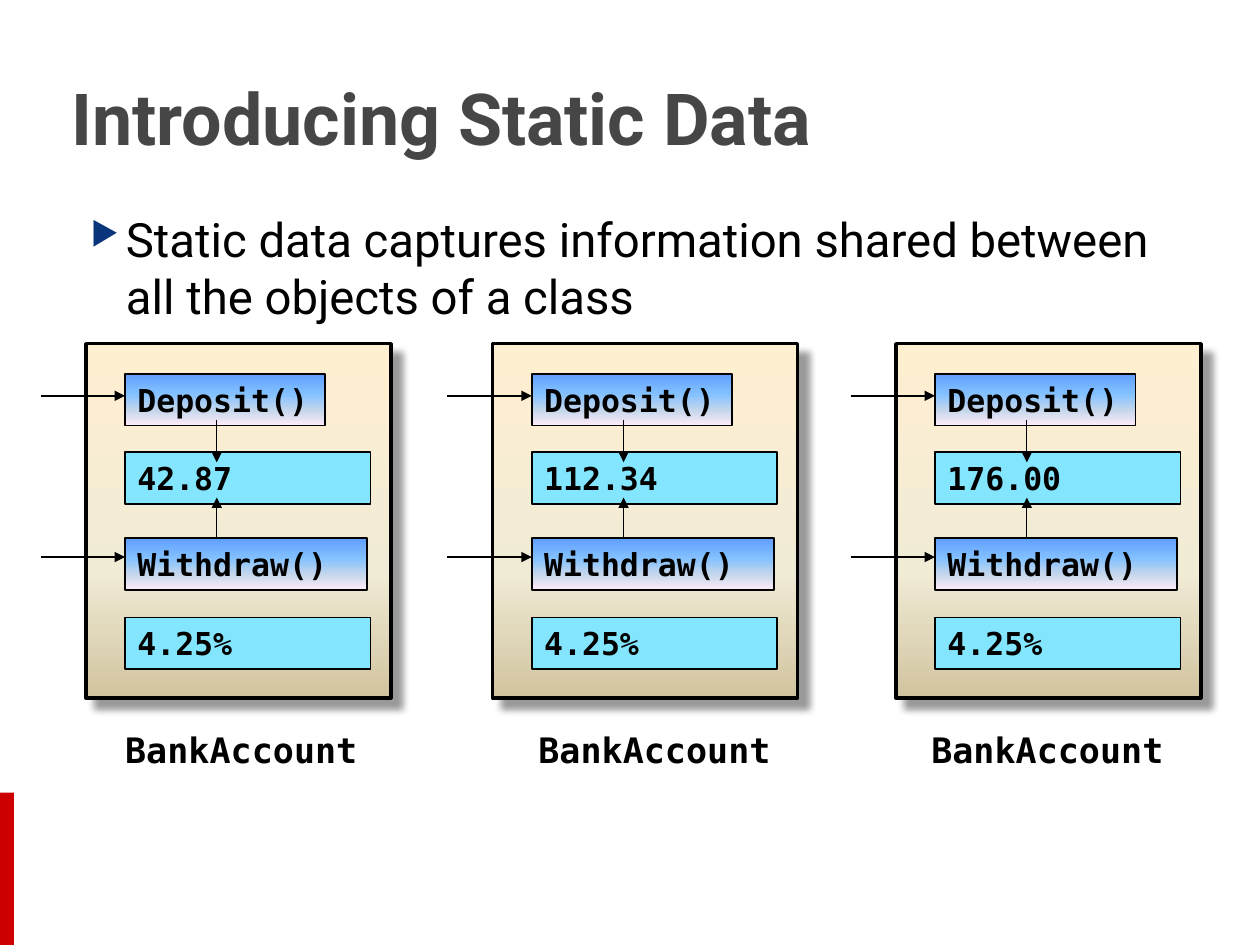
from lxml.etree import SubElement
from pptx import Presentation
from pptx.dml.color import RGBColor
from pptx.enum.shapes import MSO_CONNECTOR as Connector, MSO_SHAPE as Shape
from pptx.enum.text import MSO_ANCHOR as Anchor, PP_ALIGN as Align
from pptx.oxml.ns import qn
from pptx.util import Cm, Pt

BLACK = RGBColor(0x00, 0x00, 0x00)
GREY = RGBColor(0x46, 0x46, 0x46)
RED = RGBColor(0xCC, 0x00, 0x00)
NAVY = RGBColor(0x09, 0x36, 0x7A)
CYAN = RGBColor(0x84, 0xE6, 0xFE)

# Gradient stops: (percent, colour), from top to bottom
SAND = [(0, RGBColor(0xFF, 0xEF, 0xD1)), (65, RGBColor(0xF0, 0xEB, 0xD5)),
        (100, RGBColor(0xD1, 0xC3, 0x9F))]
SKY = [(0, RGBColor(0x5E, 0x9E, 0xFF)), (40, RGBColor(0x85, 0xC2, 0xFF)),
       (70, RGBColor(0xC4, 0xD6, 0xEB)), (100, RGBColor(0xFF, 0xEB, 0xFA))]

SANS = "Roboto"
MONO = "DejaVu Sans Mono"

# Panel left, label left, balance
ACCOUNTS = [(1.73, 1.4, "42.87"), (9.93, 9.73, "112.34"), (18.06, 17.65, "176.00")]


def fill_gradient(shape, stops):
    shape.fill.gradient()
    shape.fill.gradient_angle = 270
    stop_list = shape.fill._fill._gradFill.find(qn("a:gsLst"))
    for old_stop in list(stop_list):
        stop_list.remove(old_stop)
    for percent, color in stops:
        stop = SubElement(stop_list, qn("a:gs"), pos=str(percent * 1000))
        SubElement(stop, qn("a:srgbClr"), val=str(color))


def add_rect(page, left, top, width, height, fill, line_width=None):
    rect = page.shapes.add_shape(Shape.RECTANGLE, Cm(left), Cm(top), Cm(width), Cm(height))
    rect.shadow.inherit = False
    if isinstance(fill, list):
        fill_gradient(rect, fill)
    else:
        rect.fill.solid()
        rect.fill.fore_color.rgb = fill
    if line_width:
        rect.line.color.rgb = BLACK
        rect.line.width = Pt(line_width)
    else:
        rect.line.fill.background()
    return rect


def add_shadow(shape):
    effects = shape._element.spPr.find(qn("a:effectLst"))
    shadow = SubElement(effects, qn("a:outerShdw"), blurRad=str(Pt(4)), dist=str(Pt(8)),
                        dir="2700000", algn="tl", rotWithShape="0")
    color = SubElement(shadow, qn("a:srgbClr"), val=str(BLACK))
    SubElement(color, qn("a:alpha"), val="40000")


def set_font(para, name, size, color, bold):
    font = para.font
    font.name, font.size, font.bold = name, Pt(size), bold
    font.color.rgb = color


def add_text(page, left, top, width, height, text, name, size, color=BLACK, bold=True):
    box = page.shapes.add_textbox(Cm(left), Cm(top), Cm(width), Cm(height))
    box.text_frame.word_wrap = True
    para = box.text_frame.paragraphs[0]
    para.text = text
    set_font(para, name, size, color, bold)
    return box.text_frame


def add_bullet(para):
    props = para._p.get_or_add_pPr()
    props.set("marL", str(Cm(1.02)))
    props.set("indent", str(Cm(-0.71)))
    color = SubElement(props, qn("a:buClr"))
    SubElement(color, qn("a:srgbClr"), val=str(NAVY))
    SubElement(props, qn("a:buSzPct"), val="68000")
    SubElement(props, qn("a:buChar"), char="▶")


def add_bullet_text(page, left, top, width, height, text):
    box = page.shapes.add_textbox(Cm(left), Cm(top), Cm(width), Cm(height))
    box.text_frame.word_wrap = True
    para = box.text_frame.paragraphs[0]
    para.text = text
    add_bullet(para)
    set_font(para, SANS, 27, BLACK, False)


def add_member(page, left, top, width, text, fill):
    rect = add_rect(page, left, top, width, 1.04, fill, 1)
    frame = rect.text_frame
    frame.word_wrap = True
    frame.vertical_anchor = Anchor.MIDDLE
    para = frame.paragraphs[0]
    para.text = text
    para.alignment = Align.LEFT
    set_font(para, MONO, 18, BLACK, True)


def add_arrow(page, x1, y1, x2, y2):
    arrow = page.shapes.add_connector(Connector.STRAIGHT, Cm(x1), Cm(y1), Cm(x2), Cm(y2))
    arrow.line.color.rgb = BLACK
    arrow.line.width = Pt(0.75)
    SubElement(arrow.line._get_or_add_ln(), qn("a:tailEnd"), type="triangle")
    SubElement(arrow._element.spPr, qn("a:effectLst"))


def add_account(page, left, label_left, balance):
    panel = add_rect(page, left, 6.93, 6.15, 7.14, SAND, 2)
    add_shadow(panel)

    # Methods and data
    inner = left + 0.79
    add_member(page, inner, 7.54, 4.04, "Deposit()", SKY)
    add_member(page, inner, 10.85, 4.88, "Withdraw()", SKY)
    add_member(page, inner, 9.12, 4.95, balance, CYAN)
    add_member(page, inner, 12.45, 4.95, "4.25%", CYAN)

    # Calls from outside, then access to the balance
    for y in (7.98, 11.23):
        add_arrow(page, inner - 1.7, y, inner, y)
    middle = left + 2.64
    add_arrow(page, middle, 8.46, middle, 9.32)
    add_arrow(page, middle, 10.85, middle, 10.03)

    # Class name
    label = add_text(page, label_left, 14.68, 6.93, 0.86, "BankAccount", MONO, 20)
    label.margin_left = label.margin_right = label.margin_top = label.margin_bottom = 0
    label.vertical_anchor = Anchor.MIDDLE
    label.paragraphs[0].alignment = Align.CENTER


def main():
    deck = Presentation()
    deck.slide_width, deck.slide_height = Cm(25.4), Cm(19.05)
    page = deck.slides.add_slide(deck.slide_layouts[6])

    # Side bar, title and statement
    add_rect(page, 0, 15.98, 0.28, 3.07, RED)
    title = add_text(page, 1.19, 0.76, 22.94, 3.18, "Introducing Static Data", SANS, 41, GREY)
    title.vertical_anchor = Anchor.MIDDLE
    add_bullet_text(page, 1.27, 4.11, 22.83, 12.57,
                    "Static data captures information shared between all the objects of a class")

    # One panel for each account object
    for left, label_left, balance in ACCOUNTS:
        add_account(page, left, label_left, balance)

    deck.save("out.pptx")


if __name__ == "__main__":
    main()
